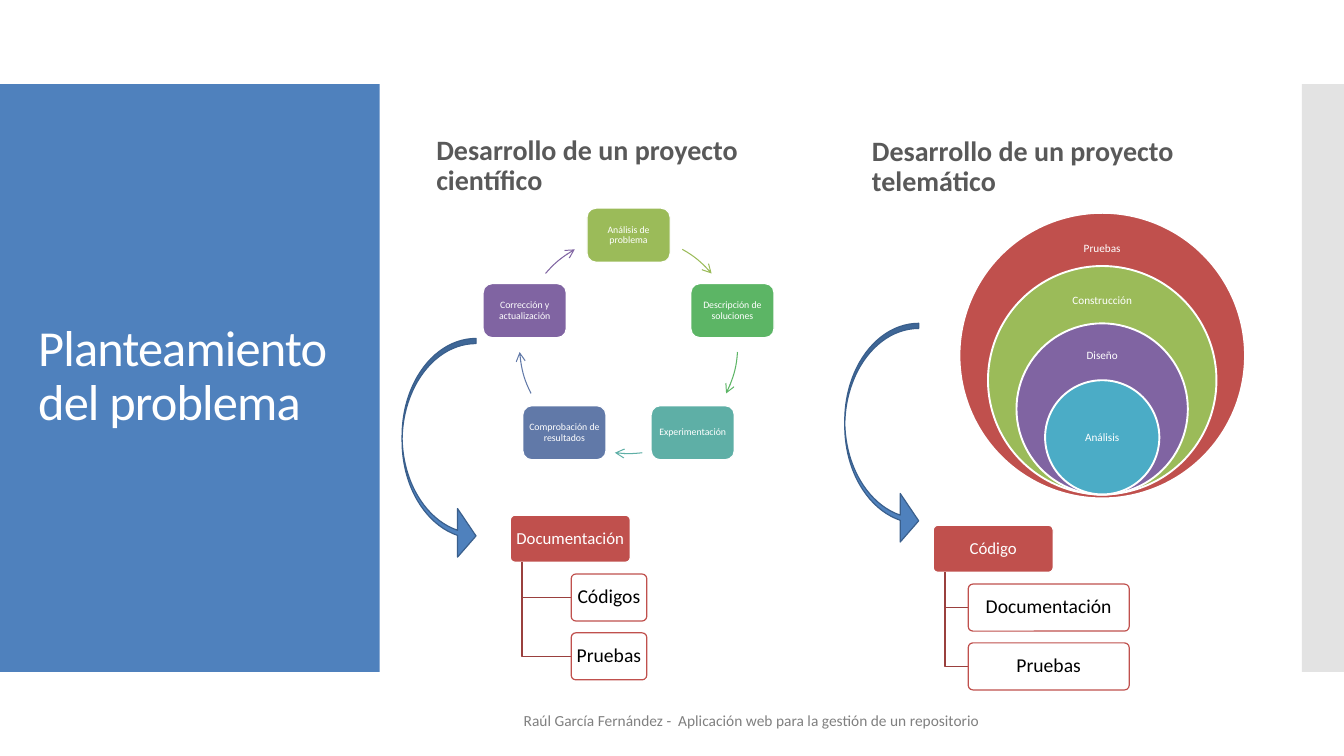
from math import cos, radians, sin

from lxml.etree import SubElement
from pptx import Presentation
from pptx.dml.color import RGBColor
from pptx.enum.shapes import MSO_SHAPE as Shape
from pptx.enum.text import MSO_ANCHOR as Anchor, MSO_AUTO_SIZE as AutoSize, PP_ALIGN as Align
from pptx.oxml.ns import qn
from pptx.util import Pt

COLORS = {
    "white": "FFFFFF", "black": "000000", "blue": "4F81BD", "navy": "3A5F8C",
    "gray": "C8C8C8", "heading": "595959", "footer": "808080",
    "red": "C0504D", "maroon": "9A403E", "olive": "9BBB59", "green": "5CB565",
    "teal": "5EAFA6", "slate": "6179A8", "purple": "8064A2", "aqua": "4BACC6",
}
FONT = "Calibri"


def rgb(name):
    """Return the named colour."""
    return RGBColor.from_string(COLORS[name])


def write(sp, text, size=12, color="white", bold=False, align=Align.CENTER,
          anchor=Anchor.MIDDLE, inset=None, leading=0.9, tracking=None):
    """Put formatted text into a shape."""
    tf = sp.text_frame
    tf.word_wrap = True
    tf.auto_size = AutoSize.NONE
    tf.vertical_anchor = anchor
    if inset is not None:
        tf.margin_left = tf.margin_right = Pt(inset)
        tf.margin_top = tf.margin_bottom = Pt(inset)
    p = tf.paragraphs[0]
    p.alignment, p.line_spacing, p.space_before = align, leading, Pt(0)
    r = p.add_run()
    r.text = text
    r.font.name, r.font.size, r.font.bold = FONT, Pt(size), bold
    r.font.color.rgb = rgb(color)
    if tracking is not None:
        r.font._element.set("spc", str(round(tracking * 100)))


class Deck:
    """Holds the current slide and draws styled elements on it."""

    def __init__(self, s):
        """Keep the slide to draw on."""
        self.s = s

    def paint(self, sp, fill=None, line=None, weight=0.85):
        """Set fill and outline, without shadow."""
        sp.shadow.inherit = False
        if fill:
            sp.fill.solid()
            sp.fill.fore_color.rgb = rgb(fill)
        else:
            sp.fill.background()
        if line:
            sp.line.color.rgb = rgb(line)
            sp.line.width = Pt(weight)
        else:
            sp.line.fill.background()
        return sp

    def shape(self, kind, x, y, w, h, adj=(), **style):
        """Add a preset shape."""
        sp = self.s.shapes.add_shape(kind, Pt(x), Pt(y), Pt(w), Pt(h))
        for i, value in enumerate(adj):
            sp.adjustments[i] = value
        return self.paint(sp, **style)

    def panel(self, x, w, fill, alpha=None):
        """Add a background band behind the placeholders."""
        sp = self.shape(Shape.RECTANGLE, x, 60, w, 420, fill=fill)
        if alpha:
            clr = sp.element.spPr.find(qn("a:solidFill"))[0]
            SubElement(clr, qn("a:alpha")).set("val", str(alpha * 1000))
        self.s.shapes.title.element.addprevious(sp.element)

    def placeholder(self, idx, text, x, y, w, h, **fmt):
        """Move and fill a template placeholder."""
        sp = next(ph for ph in self.s.placeholders if ph.placeholder_format.idx == idx)
        sp.left, sp.top, sp.width, sp.height = Pt(x), Pt(y), Pt(w), Pt(h)
        write(sp, text, align=Align.LEFT, **fmt)

    def label(self, text, x, y, w, h, **fmt):
        """Add a text box."""
        write(self.s.shapes.add_textbox(Pt(x), Pt(y), Pt(w), Pt(h)), text, **fmt)

    def arc_arrow(self, cx, cy, radius, start, end, color):
        """Add an arc with an open arrowhead; angles are clockwise degrees."""
        sp = self.shape(Shape.ARC, cx - radius, cy - radius, 2 * radius, 2 * radius,
                        adj=(start * 0.6, end * 0.6), line=color, weight=0.75)
        SubElement(sp.line._get_or_add_ln(), qn("a:tailEnd")).set("type", "arrow")

    def elbow(self, *points):
        """Add an open right-angled line."""
        (x, y), *rest = [(Pt(px), Pt(py)) for px, py in points]
        fb = self.s.shapes.build_freeform(x, y)
        fb.add_line_segments(rest, close=False)
        self.paint(fb.convert_to_shape(), line="maroon")

    def cycle(self, steps, cx, cy, radius):
        """Draw steps evenly around a circle, each with an arrow to the next."""
        w, h = 59.4, 38.6
        for i, (text, color, start, end) in enumerate(steps):
            angle = radians(360 / len(steps) * i - 90)
            x, y = cx + radius * cos(angle), cy + radius * sin(angle)
            sp = self.shape(Shape.ROUNDED_RECTANGLE, x - w / 2, y - h / 2, w, h,
                            fill=color, line="white")
            write(sp, text, size=7, inset=2.5)
            self.arc_arrow(cx, cy, radius, start, end, color)

    def rings(self, layers, cx, size):
        """Draw nested circles, each a fifth of the first smaller."""
        for i, (text, color, top, middle) in enumerate(layers):
            d = size * (1 - i / 5)
            self.shape(Shape.OVAL, cx - d / 2, top, d, d,
                       fill=color, line="white", weight=1.35)
            self.label(text, cx - 28.5, middle - 15, 57, 30, size=8, inset=4)

    def tree(self, root, children, x, y, child_x, child_w):
        """Draw a root box with child boxes hanging below it."""
        h, step, trunk = 33.6, 42, x + 8.4
        box = Shape.ROUNDED_RECTANGLE
        sp = self.shape(box, x, y, 85.7, h, adj=[0.1], fill="red", line="white")
        write(sp, root, size=12, inset=2.5)
        for i, text in enumerate(children, 1):
            top = y + i * step
            mid = top + h / 2
            self.elbow((trunk, y + h), (trunk, mid), (child_x, mid))
            sp = self.shape(box, child_x, top, child_w, h, adj=[0.1],
                            fill="white", line="red")
            write(sp, text, size=14, color="black", inset=2)

    def curved_arrow(self, x, y):
        """Draw the large arrow leading down to a tree."""
        self.shape(Shape.CURVED_RIGHT_ARROW, x, y, 52.8, 158.4,
                   adj=(0.069, 0.657, 0.25), fill="blue", line="navy")


prs = Presentation()
prs.slide_width, prs.slide_height = Pt(960), Pt(540)
s = prs.slides.add_slide(prs.slide_layouts[4])
deck = Deck(s)
deck.panel(0, 271.2, "blue")
deck.panel(930, 30, "gray", alpha=50)

deck.placeholder(0, "Planteamiento del problema", 20, 88.6, 232, 362,
                 size=36, tracking=-0.6)
for idx, kind, x, y in ((1, "científico", 304.4, 80.6), (3, "telemático", 615.6, 81.2)):
    deck.placeholder(idx, f"Desarrollo de un proyecto {kind}", x, y, 273.6, 63.4,
                     size=20, color="heading", bold=True, anchor=Anchor.BOTTOM)
for ph in list(s.placeholders):
    if not ph.text_frame.text:
        ph.element.getparent().remove(ph.element)

deck.label("Raúl García Fernández -  Aplicación web para la gestión de un repositorio",
           304.4, 500.4, 465, 28.8, size=11, color="footer", leading=1)

deck.cycle([
    ("Análisis de problema", "olive", 299.5, 319.5),
    ("Descripción de soluciones", "green", 4, 26.7),
    ("Experimentación", "teal", 82.8, 97.2),
    ("Comprobación de resultados", "slate", 153.3, 176),
    ("Corrección y actualización", "purple", 220.5, 240.5),
], cx=449, cy=246, radius=78)

deck.rings([
    ("Pruebas", "red", 152, 177.8),
    ("Construcción", "olive", 190, 215),
    ("Diseño", "purple", 231, 254.2),
    ("Análisis", "aqua", 271.6, 312.8),
], cx=787.3, size=204)

deck.tree("Documentación", ["Códigos", "Pruebas"], 364.5, 368, 408, 54)
deck.curved_arrow(287.2, 241.8)
deck.tree("Código", ["Documentación", "Pruebas"], 666.6, 375.2, 691.6, 115)
deck.curved_arrow(603.4, 231)

prs.save("out.pptx")
